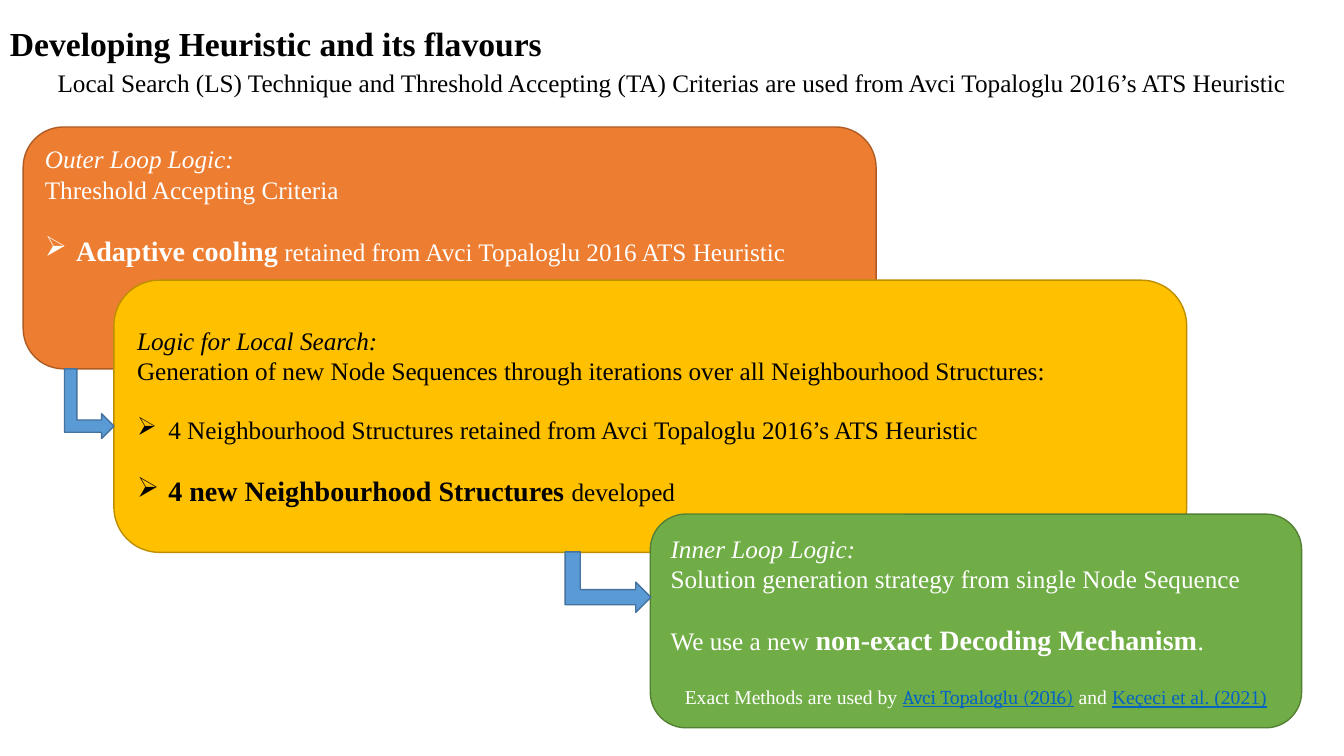
from lxml.etree import SubElement
from pptx import Presentation
from pptx.dml.color import RGBColor
from pptx.enum.shapes import MSO_SHAPE as SHAPE
from pptx.enum.text import MSO_ANCHOR as ANCHOR, PP_ALIGN as ALIGN
from pptx.oxml.ns import qn
from pptx.util import Inches, Pt

BLACK = RGBColor(0x00, 0x00, 0x00)
WHITE = RGBColor(0xFF, 0xFF, 0xFF)
ORANGE, ORANGE_EDGE = RGBColor(0xED, 0x7D, 0x31), RGBColor(0xAF, 0x5C, 0x24)
GOLD, GOLD_EDGE = RGBColor(0xFF, 0xC0, 0x00), RGBColor(0xBD, 0x8E, 0x00)
GREEN, GREEN_EDGE = RGBColor(0x70, 0xAD, 0x47), RGBColor(0x53, 0x80, 0x35)
BLUE, BLUE_EDGE = RGBColor(0x5B, 0x9B, 0xD5), RGBColor(0x43, 0x73, 0x9E)
CITATION_BLUE = RGBColor(0x05, 0x63, 0xC1)

SERIF = "Times New Roman"
LINE_GAP = Pt(20.7)  # height of one 18 pt line
ITALIC = {"italic": True}
STRONG = {"size": Pt(20), "bold": True}
SMALL = {"size": Pt(14)}
CITED = {"size": Pt(14), "underline": True}

prs = Presentation()
prs.slide_width, prs.slide_height = Inches(13.33), Inches(7.5)
slide = prs.slides.add_slide(prs.slide_layouts[6])


def add_shape(preset, box, fill, edge):
    shape = slide.shapes.add_shape(preset, *map(Inches, box))
    shape.shadow.inherit = False
    shape.fill.solid()
    shape.fill.fore_color.rgb = fill
    shape.line.color.rgb = edge
    shape.line.width = Pt(1)
    return shape


def write_runs(paragraph, runs, color):
    for text, formats in runs:
        run = paragraph.add_run()
        run.text = text
        base = {"name": SERIF, "size": Pt(18)}
        for key, value in (base | formats).items():
            setattr(run.font, key, value)
        run.font.color.rgb = CITATION_BLUE if "underline" in formats else color


# Heading and subtitle
headings = [
    ("Local Search (LS) Technique and Threshold Accepting (TA) Criterias are used "
     "from Avci Topaloglu 2016’s ATS Heuristic",
     (0, 0.62, 13.33, 0.4), True, {},
     {"alignment": ALIGN.CENTER}),
    ("Developing Heuristic and its flavours",
     (0, -0.02, 5.53, 0.71), False, {"size": Pt(24), "bold": True},
     {"alignment": ALIGN.JUSTIFY, "line_spacing": 1.5, "space_after": Pt(10)}),
]
for text, box, wraps, formats, layout in headings:
    frame = slide.shapes.add_textbox(*map(Inches, box)).text_frame
    frame.word_wrap = wraps
    for key, value in layout.items():
        setattr(frame.paragraphs[0], key, value)
    write_runs(frame.paragraphs[0], [(text, formats)], BLACK)

# Nested loops; each paragraph is (kind, runs)
loops = [
    ((0.23, 1.26, 8.46, 2.4), ORANGE, ORANGE_EDGE, WHITE, ANCHOR.TOP, [
        ("lead", [("Outer Loop Logic:", ITALIC)]),
        ("lead", [("Threshold Accepting Criteria", {})]),
        ("bullet", [("Adaptive cooling", STRONG),
                    (" retained from Avci Topaloglu 2016 ATS Heuristic", {})]),
    ]),
    ((1.13, 2.78, 10.64, 2.7), GOLD, GOLD_EDGE, BLACK, ANCHOR.MIDDLE, [
        ("lead", [("Logic for Local Search:", ITALIC)]),
        ("lead", [("Generation of new Node Sequences through iterations "
                   "over all Neighbourhood Structures:", {})]),
        ("bullet", [("4 Neighbourhood Structures retained from "
                     "Avci Topaloglu 2016’s ATS Heuristic", {})]),
        ("bullet", [("4 new Neighbourhood Structures ", STRONG), ("developed", {})]),
    ]),
    ((6.45, 5.1, 6.46, 2.12), GREEN, GREEN_EDGE, WHITE, ANCHOR.MIDDLE, [
        ("lead", [("Inner Loop Logic:", ITALIC)]),
        ("lead", [("Solution generation strategy from single Node Sequence", {})]),
        ("plain", [("We use a new ", {}), ("non-exact Decoding Mechanism", STRONG),
                   (".", {})]),
        ("centred", [("Exact Methods are used by ", SMALL),
                     ("Avci Topaloglu (2016)", CITED | {"name": "Cambria"}),
                     (" and ", SMALL), ("Keçeci et al. (2021)", CITED)]),
    ]),
]
for box, fill, edge, ink, anchor, paragraphs in loops:
    frame = add_shape(SHAPE.ROUNDED_RECTANGLE, box, fill, edge).text_frame
    frame.word_wrap = True
    frame.vertical_anchor = anchor
    for index, (kind, runs) in enumerate(paragraphs):
        paragraph = frame.paragraphs[0] if index == 0 else frame.add_paragraph()
        paragraph.alignment = ALIGN.CENTER if kind == "centred" else ALIGN.LEFT
        if kind != "lead":
            paragraph.space_before = LINE_GAP
        if kind == "bullet":
            props = paragraph._p.get_or_add_pPr()
            props.set("marL", str(Inches(0.31)))
            props.set("indent", str(-Inches(0.31)))
            SubElement(props, qn("a:buChar"), char="➢")
        write_runs(paragraph, runs, ink)

# Arrows from each loop to the one inside it
for box in [(0.54, 3.76, 0.69, 0.49), (5.73, 5.35, 0.6, 0.85)]:
    add_shape(SHAPE.BENT_UP_ARROW, box, BLUE, BLUE_EDGE).rotation = 90

prs.save("out.pptx")
